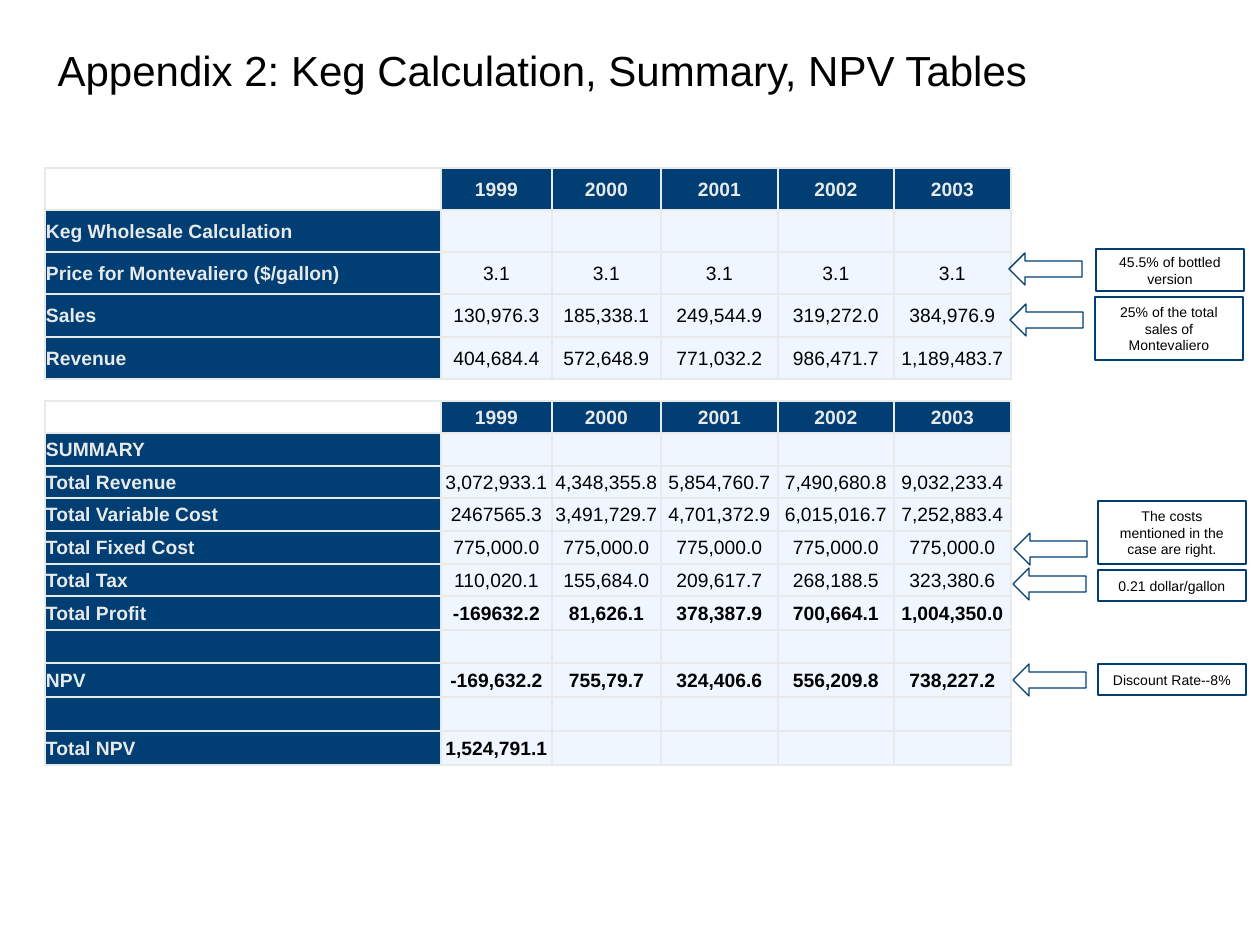
from dataclasses import dataclass

from lxml.etree import SubElement
from pptx import Presentation
from pptx.dml.color import RGBColor
from pptx.enum.shapes import MSO_SHAPE
from pptx.enum.text import MSO_ANCHOR, MSO_AUTO_SIZE, PP_ALIGN
from pptx.oxml.ns import qn
from pptx.util import Emu, Pt

PX_PER_INCH = 126
NAVY, PALE, GREY, BLACK = "003E74", "EFF6FF", "E8EAE9", "000000"
YEARS = ("", "1999", "2000", "2001", "2002", "2003")
TABLE_LEFT = 45
COLUMN_WIDTHS = (396, 111, 109, 117, 116, 117)
ARROW_SIZE = (73, 32)
NOTE_WIDTH = 148


@dataclass(frozen=True)
class YearTable:
    top: int
    row_heights: tuple[int, ...]
    rows: tuple[tuple[str, ...], ...]
    bold_rows: tuple[str, ...] = ()


@dataclass(frozen=True)
class Note:
    text: str
    left: int
    top: int
    height: int
    arrow_left: int
    arrow_top: int


KEG = YearTable(168, (42, 42, 42, 43, 42), (
    YEARS,
    ("Keg Wholesale Calculation",),
    ("Price for Montevaliero ($/gallon)",) + ("3.1",) * 5,
    ("Sales", "130,976.3", "185,338.1", "249,544.9", "319,272.0", "384,976.9"),
    ("Revenue", "404,684.4", "572,648.9", "771,032.2", "986,471.7", "1,189,483.7"),
))
SUMMARY = YearTable(401, (32, 33, 32, 33, 33, 32, 34, 33, 34, 34, 34), (
    YEARS,
    ("SUMMARY",),
    ("Total Revenue", "3,072,933.1", "4,348,355.8", "5,854,760.7", "7,490,680.8", "9,032,233.4"),
    ("Total Variable Cost", "2467565.3", "3,491,729.7", "4,701,372.9", "6,015,016.7", "7,252,883.4"),
    ("Total Fixed Cost",) + ("775,000.0",) * 5,
    ("Total Tax", "110,020.1", "155,684.0", "209,617.7", "268,188.5", "323,380.6"),
    ("Total Profit", "-169632.2", "81,626.1", "378,387.9", "700,664.1", "1,004,350.0"),
    (),
    ("NPV", "-169,632.2", "755,79.7", "324,406.6", "556,209.8", "738,227.2"),
    (),
    ("Total NPV", "1,524,791.1"),
), ("Total Profit", "NPV", "Total NPV"))
NOTES = (
    Note("45.5% of bottled version", 1096, 249, 42, 1009, 253),
    Note("25% of the total sales of Montevaliero", 1095, 297, 63, 1010, 304),
    Note("The costs mentioned in the case are right.", 1098, 501, 63, 1014, 533),
    Note("0.21 dollar/gallon", 1098, 570, 31, 1013, 568),
    Note("Discount Rate--8%", 1098, 664, 31, 1013, 664),
)


def px(length: int) -> Emu:
    return Emu(round(length * 914400 / PX_PER_INCH))


def rgb(color: str) -> RGBColor:
    return RGBColor.from_string(color)


def write(frame, text: str, *, size: int, color: str = BLACK, bold: bool = False,
          align=PP_ALIGN.CENTER) -> None:
    paragraph = frame.paragraphs[0]
    paragraph.alignment = align
    if not text:
        # Keeps an empty cell from growing to the default text size.
        paragraph._p.get_or_add_endParaRPr().set("sz", str(size * 100))
        return
    run = paragraph.add_run()
    run.text = text
    run.font.name = "Arial"
    run.font.size = Pt(size)
    run.font.bold = bold
    run.font.color.rgb = rgb(color)


def add_borders(cell, color: str) -> None:
    """Must run before the cell is filled, as lines precede fill in tcPr."""
    properties = cell._tc.get_or_add_tcPr()
    for side in ("a:lnL", "a:lnR", "a:lnT", "a:lnB"):
        line = SubElement(properties, qn(side), w=str(Pt(1)))
        SubElement(SubElement(line, qn("a:solidFill")), qn("a:srgbClr"), val=color)


def add_year_table(slide, spec: YearTable) -> None:
    table = slide.shapes.add_table(
        len(spec.rows), len(COLUMN_WIDTHS), px(TABLE_LEFT), px(spec.top),
        px(sum(COLUMN_WIDTHS)), px(sum(spec.row_heights))).table
    table.first_row = table.horz_banding = False
    for column, width in zip(table.columns, COLUMN_WIDTHS):
        column.width = px(width)
    for r, (values, height) in enumerate(zip(spec.rows, spec.row_heights)):
        table.rows[r].height = px(height)
        for c in range(len(COLUMN_WIDTHS)):
            text = values[c] if c < len(values) else ""
            heading = r == 0 or c == 0
            cell = table.cell(r, c)
            add_borders(cell, GREY)
            if r == c == 0:
                cell.fill.background()
            else:
                cell.fill.solid()
                cell.fill.fore_color.rgb = rgb(NAVY if heading else PALE)
            cell.margin_left = cell.margin_right = cell.margin_top = px(1)
            cell.margin_bottom = 0
            cell.vertical_anchor = MSO_ANCHOR.MIDDLE
            write(cell.text_frame, text, size=11, color=GREY if heading else BLACK,
                  bold=heading or values[:1] and values[0] in spec.bold_rows,
                  align=PP_ALIGN.LEFT if c == 0 else PP_ALIGN.CENTER)


def add_outline(slide, kind, left: int, top: int, width: int, height: int):
    shape = slide.shapes.add_shape(kind, px(left), px(top), px(width), px(height))
    shape.shadow.inherit = False
    shape.fill.background()
    shape.line.color.rgb = rgb(NAVY)
    shape.line.width = Pt(0.75)
    return shape


def add_note(slide, note: Note) -> None:
    add_outline(slide, MSO_SHAPE.LEFT_ARROW, note.arrow_left, note.arrow_top, *ARROW_SIZE)
    box = add_outline(slide, MSO_SHAPE.RECTANGLE, note.left, note.top, NOTE_WIDTH, note.height)
    box.text_frame.word_wrap = True
    box.text_frame.vertical_anchor = MSO_ANCHOR.MIDDLE
    write(box.text_frame, note.text, size=8)


def add_title(slide, text: str) -> None:
    title = slide.shapes.title
    title.left, title.top, title.width, title.height = map(px, (TABLE_LEFT, 26, 1197, 88))
    title.text_frame.auto_size = MSO_AUTO_SIZE.NONE
    title.text_frame.vertical_anchor = MSO_ANCHOR.MIDDLE
    write(title.text_frame, text, size=24, align=PP_ALIGN.LEFT)


def main() -> None:
    deck = Presentation()
    deck.slide_width, deck.slide_height = px(1260), px(945)
    slide = deck.slides.add_slide(deck.slide_layouts[5])
    add_title(slide, "Appendix 2: Keg Calculation, Summary, NPV Tables")
    for spec in (KEG, SUMMARY):
        add_year_table(slide, spec)
    for note in NOTES:
        add_note(slide, note)
    deck.save("out.pptx")


if __name__ == "__main__":
    main()
